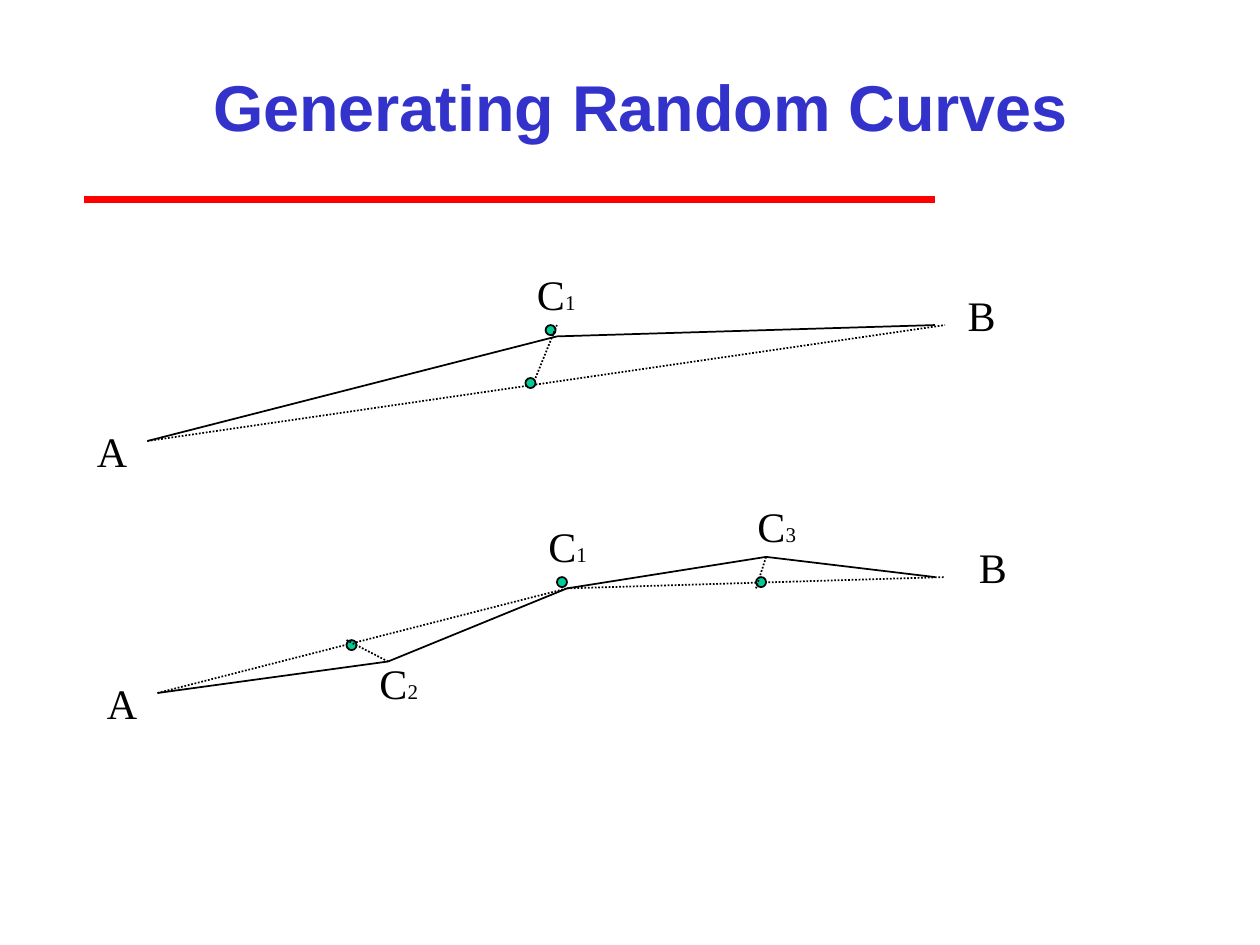
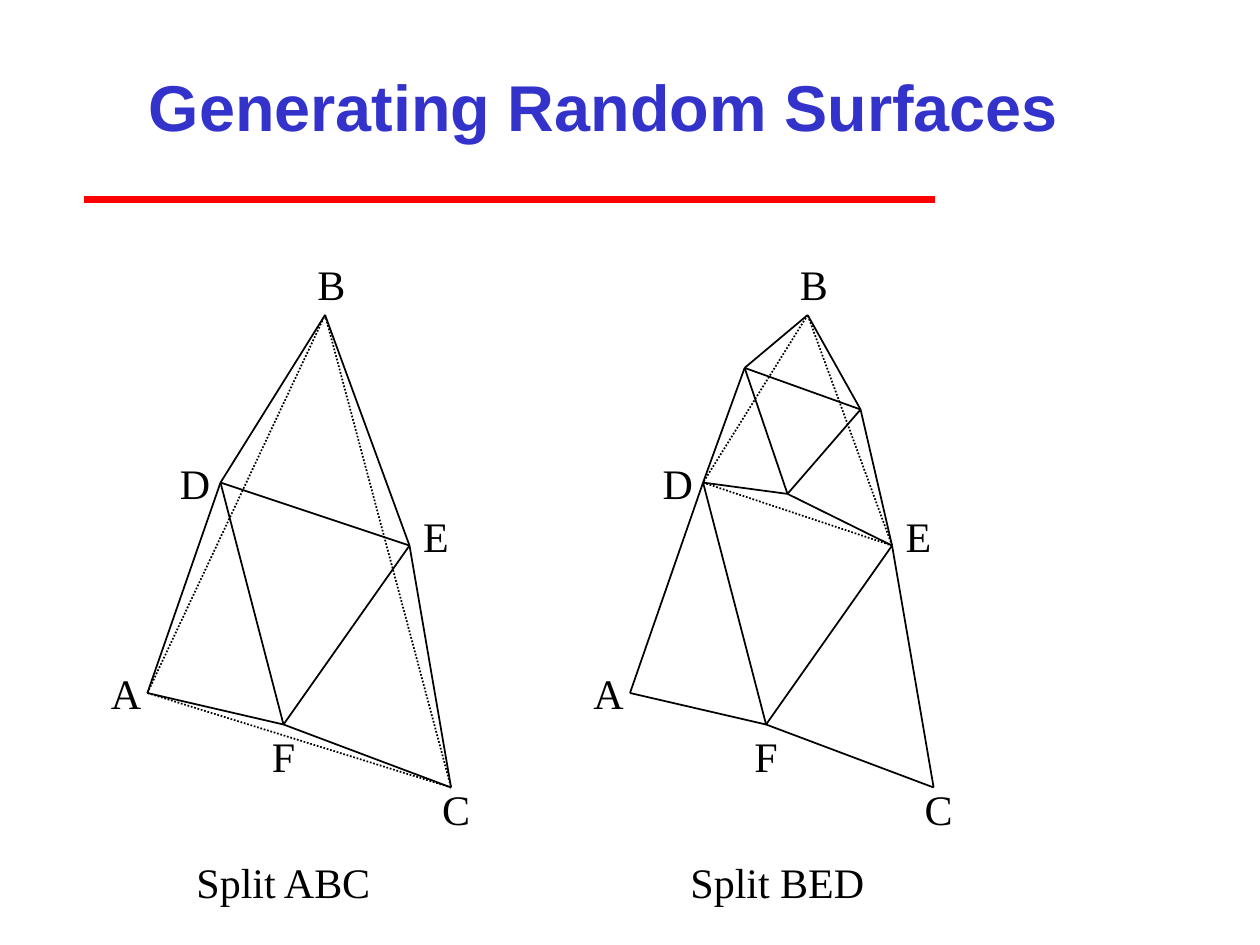
from itertools import pairwise

from lxml import etree
from pptx import Presentation
from pptx.dml.color import RGBColor
from pptx.enum.dml import MSO_LINE
from pptx.enum.shapes import MSO_CONNECTOR, MSO_SHAPE
from pptx.enum.text import MSO_ANCHOR, MSO_AUTO_SIZE, PP_ALIGN
from pptx.oxml.ns import qn
from pptx.util import Inches, Pt

STRAIGHT = MSO_CONNECTOR.STRAIGHT
OVAL = MSO_SHAPE.OVAL
DOTTED = MSO_LINE.ROUND_DOT
CENTER = PP_ALIGN.CENTER
MIDDLE = MSO_ANCHOR.MIDDLE
NO_FIT = MSO_AUTO_SIZE.NONE
GROW = MSO_AUTO_SIZE.SHAPE_TO_FIT_TEXT

COLORS = {"title": "3333CC", "rule": "FF0000", "ink": "000000", "dot": "00CC99"}
TITLE_FONT, LABEL_FONT = "Arial", "Times New Roman"
DOT_SIZE = 0.08
LABEL_HEIGHT = 0.5

CURVES = {
    "title": ("Generating Random Curves", 1.5, 7.17),
    "steps": [
        {
            "base": [(1.17, 3.5), (7.5, 2.58)],
            "curve": [(1.17, 3.5), (4.42, 2.67), (7.42, 2.58)],
            "offsets": [[(4.25, 3), (4.42, 2.58)]],
            "dots": [(4.17, 3), (4.33, 2.58)],
            "labels": [("A", "", 0.67, 3.33), ("B", "", 7.58, 2.25),
                       ("C", "1", 4.08, 2.08)],
        },
        {
            "base": [(1.25, 5.5), (4.5, 4.67), (7.5, 4.58)],
            "curve": [(1.25, 5.5), (3.08, 5.25), (4.5, 4.67), (6.08, 4.42),
                      (7.42, 4.58)],
            "offsets": [[(2.75, 5.08), (3.08, 5.25)], [(6, 4.67), (6.08, 4.42)]],
            "dots": [(4.42, 4.58), (2.75, 5.08), (6, 4.58)],
            "labels": [("A", "", 0.75, 5.33), ("B", "", 7.67, 4.25),
                       ("C", "1", 4.17, 4.08), ("C", "2", 2.83, 5.17),
                       ("C", "3", 5.83, 3.92)],
        },
    ],
}

POINTS = {
    "A": (1.17, 5.5), "B": (2.58, 2.5), "C": (3.58, 6.25),
    "D": (1.75, 3.83), "E": (3.25, 4.33), "F": (2.25, 5.75),
    "G": (2.08, 2.92), "H": (3, 3.25), "I": (2.42, 3.92),
}
VERTEX_LABELS = [
    ("A", 0.75, 5.25, 0.5), ("B", 2.42, 2, 0.42), ("C", 3.33, 6.17, 0.58),
    ("D", 1.33, 3.58, 0.42), ("E", 3.17, 4, 0.58), ("F", 2, 5.75, 0.5),
]
SURFACES = {
    "title": ("Generating Random Surfaces", 1, 7.58),
    "splits": [
        {"shift": 0, "dotted": ["ABCA"], "solid": ["DEFD", "ADBEC", "AFC"],
         "caption": ("Split ABC", 0.75)},
        {"shift": 3.83, "dotted": ["DEBD"],
         "solid": ["EFDA", "AFCE", "DGBHEID", "GHIG"],
         "caption": ("Split BED", 4.67)},
    ],
}


def color(name):
    return RGBColor.from_string(COLORS[name])


def style_runs(para, font, sizes, ink, bold=False):
    for span, size in zip(para.runs, sizes):
        span.font.name = font
        span.font.size = Pt(size)
        span.font.bold = bold
        span.font.color.rgb = color(ink)


def add_line(page, start, end, ink="ink", width=1, dotted=False):
    line = page.shapes.add_connector(STRAIGHT, *map(Inches, (*start, *end)))
    line.line.color.rgb = color(ink)
    line.line.width = Pt(width)
    if dotted:
        line.line.dash_style = DOTTED
    etree.SubElement(line._element.spPr, qn("a:effectLst"))
    return line


def add_polyline(page, points, dotted=False):
    for start, end in pairwise(points):
        add_line(page, start, end, dotted=dotted)


def add_dot(page, left, top):
    dot = page.shapes.add_shape(OVAL, *map(Inches, (left, top, DOT_SIZE, DOT_SIZE)))
    dot.shadow.inherit = False
    dot.fill.solid()
    dot.fill.fore_color.rgb = color("dot")
    dot.line.color.rgb = color("ink")
    dot.line.width = Pt(1)


def add_label(page, text, left, top, width, index="", space=15):
    box = page.shapes.add_textbox(*map(Inches, (left, top, width, LABEL_HEIGHT)))
    frame = box.text_frame
    frame.word_wrap = True
    frame.auto_size = GROW
    para = frame.paragraphs[0]
    para.text = text
    if index:
        para.add_run().text = index
    para.alignment = CENTER
    para.space_before = Pt(space)
    style_runs(para, LABEL_FONT, (24, 12), "ink")


def add_page(deck, title, left, width):
    page = deck.slides.add_slide(deck.slide_layouts[5])
    box = page.shapes.title
    box.left, box.top, box.width, box.height = map(Inches, (left, 0.25, width, 1.17))
    frame = box.text_frame
    frame.text = title
    frame.auto_size = NO_FIT
    frame.vertical_anchor = MIDDLE
    para = frame.paragraphs[0]
    para.alignment = CENTER
    style_runs(para, TITLE_FONT, (37,), "title", bold=True)
    return page


def add_title_rule(page):
    rule = add_line(page, (0.67, 1.58), (7.42, 1.58), "rule", 4)
    page.slide_layout.shapes._spTree.append(rule._element)


def draw_curve_step(page, step):
    add_polyline(page, step["base"], dotted=True)
    for dot in step["dots"]:
        add_dot(page, *dot)
    for letter, index, left, top in step["labels"]:
        width, space = (0.67, 7.5) if index else (0.42, 15)
        add_label(page, letter, left, top, width, index, space)
    add_polyline(page, step["curve"])
    for offset in step["offsets"]:
        add_polyline(page, offset, dotted=True)


def draw_split(page, split):
    shift = split["shift"]
    for style in ("dotted", "solid"):
        for route in split[style]:
            points = [(POINTS[name][0] + shift, POINTS[name][1]) for name in route]
            add_polyline(page, points, dotted=style == "dotted")
    for letter, left, top, width in VERTEX_LABELS:
        add_label(page, letter, left + shift, top, width)
    caption, left = split["caption"]
    add_label(page, caption, left, 6.75, 3)


def main():
    deck = Presentation()
    deck.slide_width, deck.slide_height = Inches(10), Inches(7.5)
    curves_page = add_page(deck, *CURVES["title"])
    add_title_rule(curves_page)
    for step in CURVES["steps"]:
        draw_curve_step(curves_page, step)
    surfaces_page = add_page(deck, *SURFACES["title"])
    for split in SURFACES["splits"]:
        draw_split(surfaces_page, split)
    deck.save("out.pptx")


if __name__ == "__main__":
    main()
